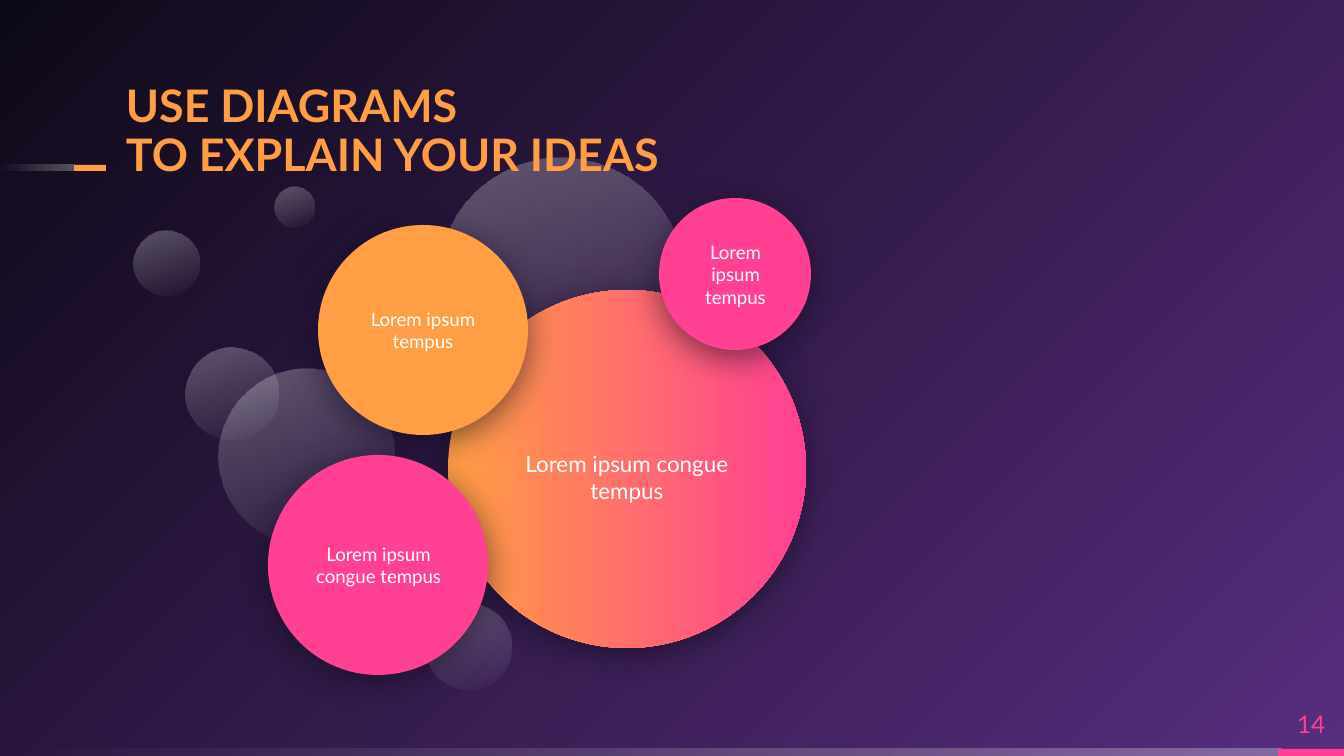
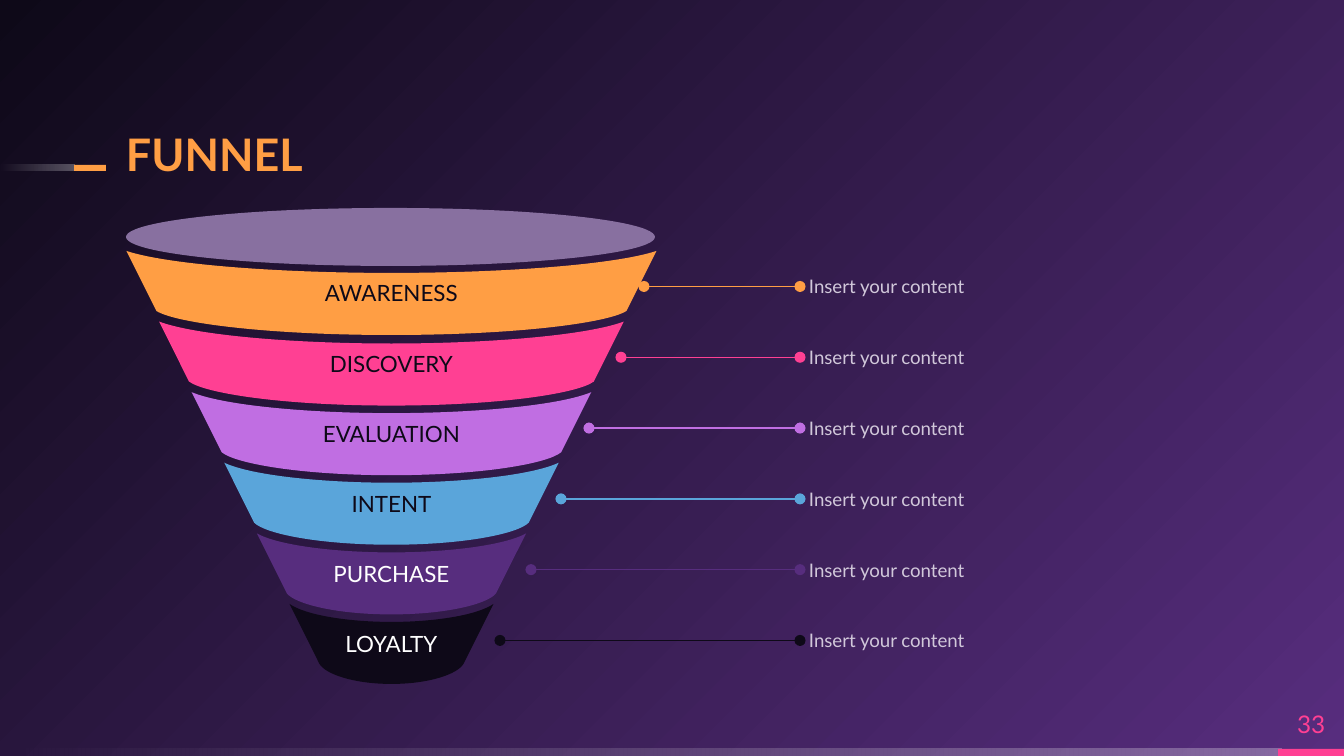
from lxml import etree
from pptx import Presentation
from pptx import util as u
from pptx.dml.color import RGBColor
from pptx.enum import shapes, text
from pptx.oxml.ns import qn

# ---- Shared look ----
PX = 914400 / 134.4
SLIDE_W, SLIDE_H = 1344, 756
FONT = "Lato"
TITLE_SIZE = 24
COLOURS = {
    "white": "FFFFFF", "ink": "0E0918", "purple": "572D7E", "pink": "FF4093",
    "orange": "FF9E44", "violet": "C06EE2", "blue": "5AA5DA",
    "mouth": "8870A0", "label": "D1C8DA",
}
TITLE_BOX = (126, 123, 780, 58)
NUMBER_BOX = (1278, 698, 66, 51)
BANDS = [  # box, colour (None fades out to the left)
    ((0, 749, 1282, 7), None),
    ((1278, 749, 66, 7), "pink"),
    ((0, 165, 75, 6), None),
    ((74, 165, 32, 6), "orange"),
]

# ---- Diagram content ----
DIAGRAM_TITLE, DIAGRAM_NUMBER = "USE DIAGRAMS\vTO EXPLAIN YOUR IDEAS", "14"
GHOSTS = [  # left, top, diameter
    (426, 604, 86), (134, 231, 65), (219, 369, 176),
    (437, 158, 247), (186, 348, 92), (275, 187, 40),
]
BUBBLES = [  # left, top, diameter, colour (None blends), text, text box, size
    (448, 290, 358, None, "Lorem ipsum congue tempus", (490, 392, 274, 171), 12),
    (318, 225, 210, "orange", "Lorem ipsum tempus", (352, 261, 142, 138), 10),
    (268, 455, 220, "pink", "Lorem ipsum congue tempus", (300, 496, 157, 138), 10),
    (659, 198, 152, "pink", "Lorem ipsum tempus", (684, 224, 103, 101), 10),
]

# ---- Funnel content ----
FUNNEL_TITLE, FUNNEL_NUMBER = "FUNNEL", "33"
STAGES = [  # name, colour, text colour, dip of the upper edge, leader start
    ("AWARENESS", "orange", "ink", 22, 644),
    ("DISCOVERY", "pink", "ink", 22, 621),
    ("EVALUATION", "violet", "ink", 21, 589),
    ("INTENT", "blue", "ink", 20, 561),
    ("PURCHASE", "purple", "white", 19, 531),
    ("LOYALTY", "ink", "white", 18, 500),
]
STAGE_NOTE = "Insert your content"
MOUTH = (126, 208, 529, 58)
CENTRE, STAGE_TOP, STAGE_PITCH = 391.5, 251, 70.6
HALF_WIDTH, NARROWING = 265, 32.6
RIM_INSET, RIM_DROP, BAND_DEPTH = 30, 60, 62
LEADER_TOP, LEADER_PITCH, LEADER_END = 286.5, 70.8, 800
NOTE_LEFT, NOTE_W, NOTE_H = 809, 410, 51


# ---- Helpers ----
def emu(*lengths):
    return [u.Emu(round(length * PX)) for length in lengths]


def rgb(name):
    return RGBColor.from_string(COLOURS[name])


def add_child(parent, tag, **attributes):
    child = etree.SubElement(parent, qn(tag))
    for key, value in attributes.items():
        child.set(key, str(value))
    return child


def paint_gradient(fill, element, names, angle=0, alphas=()):
    fill.gradient()
    fill.gradient_angle = angle
    for stop, name, position in zip(fill.gradient_stops, names, (0, 1)):
        stop.color.rgb = rgb(name)
        stop.position = position
    for stop, alpha in zip(element.iter(qn("a:gs")), alphas):
        add_child(stop[0], "a:alpha", val=alpha * 1000)


def paint_fade(shape):
    paint_gradient(shape.fill, shape._element, ("white", "white"), 180, (29, 0))


def paint(shape, colour):
    shape.fill.solid()
    shape.fill.fore_color.rgb = rgb(colour)


def strip(shape):
    shape.line.fill.background()
    shape.shadow.inherit = False
    return shape


def add_plain(slide, kind, box):
    return strip(slide.shapes.add_shape(kind, *emu(*box)))


def write(shape, words, size, colour, align=text.PP_ALIGN.CENTER,
          anchor=text.MSO_ANCHOR.MIDDLE, inset=(0, 0), bold=False):
    frame = shape.text_frame
    frame.word_wrap = True
    frame.vertical_anchor = anchor
    frame.margin_left = frame.margin_right = emu(inset[0])[0]
    frame.margin_top = frame.margin_bottom = emu(inset[1])[0]
    paragraph = frame.paragraphs[0]
    paragraph.text = words
    paragraph.alignment = align
    paragraph.font.name = FONT
    paragraph.font.size = u.Pt(size)
    paragraph.font.bold = bold
    paragraph.font.color.rgb = rgb(colour)
    return paragraph


def add_words(slide, box, *args, **options):
    return write(slide.shapes.add_textbox(*emu(*box)), *args, **options)


def drop_shadow(shape):
    effects = shape._element.spPr.find(qn("a:effectLst"))
    shadow = add_child(effects, "a:outerShdw", blurRad=u.Pt(18), dist=u.Pt(4),
                       dir=5400000, algn="bl", rotWithShape=0)
    tint = add_child(shadow, "a:srgbClr", val=COLOURS["ink"])
    add_child(tint, "a:alpha", val=55000)


def add_base(deck, number):
    slide = deck.slides.add_slide(deck.slide_layouts[6])
    # Glow from the lower right corner
    paint_gradient(slide.background.fill, slide._element, ("purple", "ink"))
    linear = next(slide._element.iter(qn("a:lin")))
    gradient = linear.getparent()
    gradient.remove(linear)
    glow = add_child(gradient, "a:path", path="circle")
    add_child(glow, "a:fillToRect", l=100000, t=100000)
    # Bands and slide number
    for box, colour in BANDS:
        band = add_plain(slide, shapes.MSO_SHAPE.RECTANGLE, box)
        if colour:
            paint(band, colour)
        else:
            paint_fade(band)
    add_words(slide, NUMBER_BOX, number, 13, "pink")
    return slide


def add_title(slide, words):
    title = add_words(slide, TITLE_BOX, words, TITLE_SIZE, "orange", bold=True,
                      align=text.PP_ALIGN.LEFT, anchor=text.MSO_ANCHOR.BOTTOM)
    title.line_spacing = 0.9
    # A line break carries its own font
    for line_break in title._p.iter(qn("a:br")):
        props = add_child(line_break, "a:rPr", sz=TITLE_SIZE * 100, b=1)
        add_child(props, "a:latin", typeface=FONT)


# ---- Diagram slide ----
def build_diagram(deck):
    slide = add_base(deck, DIAGRAM_NUMBER)
    for left, top, size in GHOSTS:
        ghost = add_plain(slide, shapes.MSO_SHAPE.OVAL, (left, top, size, size))
        ghost.rotation = 250
        paint_fade(ghost)
    for left, top, size, colour, words, box, points in BUBBLES:
        bubble = add_plain(slide, shapes.MSO_SHAPE.OVAL, (left, top, size, size))
        if colour:
            paint(bubble, colour)
        else:
            paint_gradient(bubble.fill, bubble._element, ("orange", "pink"))
        drop_shadow(bubble)
        add_words(slide, box, words, points, "white", inset=(13, 13))
    add_title(slide, DIAGRAM_TITLE)


# ---- Funnel slide ----
def sag(half, top, dip, outer, outer_drop, inner):
    """Bezier points of a sagging edge, from left to right."""
    left = [(CENTRE - half, top), (CENTRE - half * outer, top + dip * outer_drop),
            (CENTRE - half * inner, top + dip), (CENTRE, top + dip)]
    return left + [(2 * CENTRE - x, y) for x, y in left[-2::-1]]


def bend(shape, first):
    """Turn six straight segments, starting at first, into two curves."""
    segments = list(shape._element.iter(qn("a:lnTo")))[first:first + 6]
    for start in (0, 3):
        curve = etree.Element(qn("a:cubicBezTo"))
        segments[start].addprevious(curve)
        for segment in segments[start:start + 3]:
            curve.append(segment[0])
            segment.getparent().remove(segment)


def add_stage(slide, index, name, colour, ink, dip):
    half = HALF_WIDTH - NARROWING * index
    top = STAGE_TOP + STAGE_PITCH * index
    upper = sag(half, top, dip, 0.84, 0.63, 0.42)
    lower = sag(half - RIM_INSET, top + RIM_DROP, BAND_DEPTH + dip - RIM_DROP,
                0.92, 0.5, 0.53)
    start, *rest = [emu(*point) for point in lower + upper[::-1]]
    builder = slide.shapes.build_freeform(*start, scale=1.0)
    builder.add_line_segments(rest, close=True)
    stage = strip(builder.convert_to_shape())
    bend(stage, 7)  # upper edge, after the right side
    bend(stage, 0)  # lower edge
    paint(stage, colour)
    write(stage, name, 12, ink, inset=(9, 5))


def add_leader(slide, start, y, colour):
    leader = slide.shapes.add_connector(
        shapes.MSO_CONNECTOR.STRAIGHT, *emu(start, y, LEADER_END, y))
    leader.line.width = u.Pt(0.75)
    leader.line.color.rgb = rgb(colour)
    outline = leader.line._get_or_add_ln()
    for end in ("a:headEnd", "a:tailEnd"):
        add_child(outline, end, type="oval")
    add_child(leader._element.spPr, "a:effectLst")


def build_funnel(deck):
    slide = add_base(deck, FUNNEL_NUMBER)
    add_title(slide, FUNNEL_TITLE)
    for index, (name, colour, ink, dip, start) in enumerate(STAGES):
        add_stage(slide, index, name, colour, ink, dip)
        y = LEADER_TOP + LEADER_PITCH * index
        add_leader(slide, start, y, colour)
        add_words(slide, (NOTE_LEFT, y - NOTE_H / 2, NOTE_W, NOTE_H),
                  STAGE_NOTE, 10, "label", align=text.PP_ALIGN.LEFT)
    paint(add_plain(slide, shapes.MSO_SHAPE.OVAL, MOUTH), "mouth")


def main():
    deck = Presentation()
    deck.slide_width, deck.slide_height = emu(SLIDE_W, SLIDE_H)
    build_diagram(deck)
    build_funnel(deck)
    deck.save("out.pptx")


if __name__ == "__main__":
    main()
